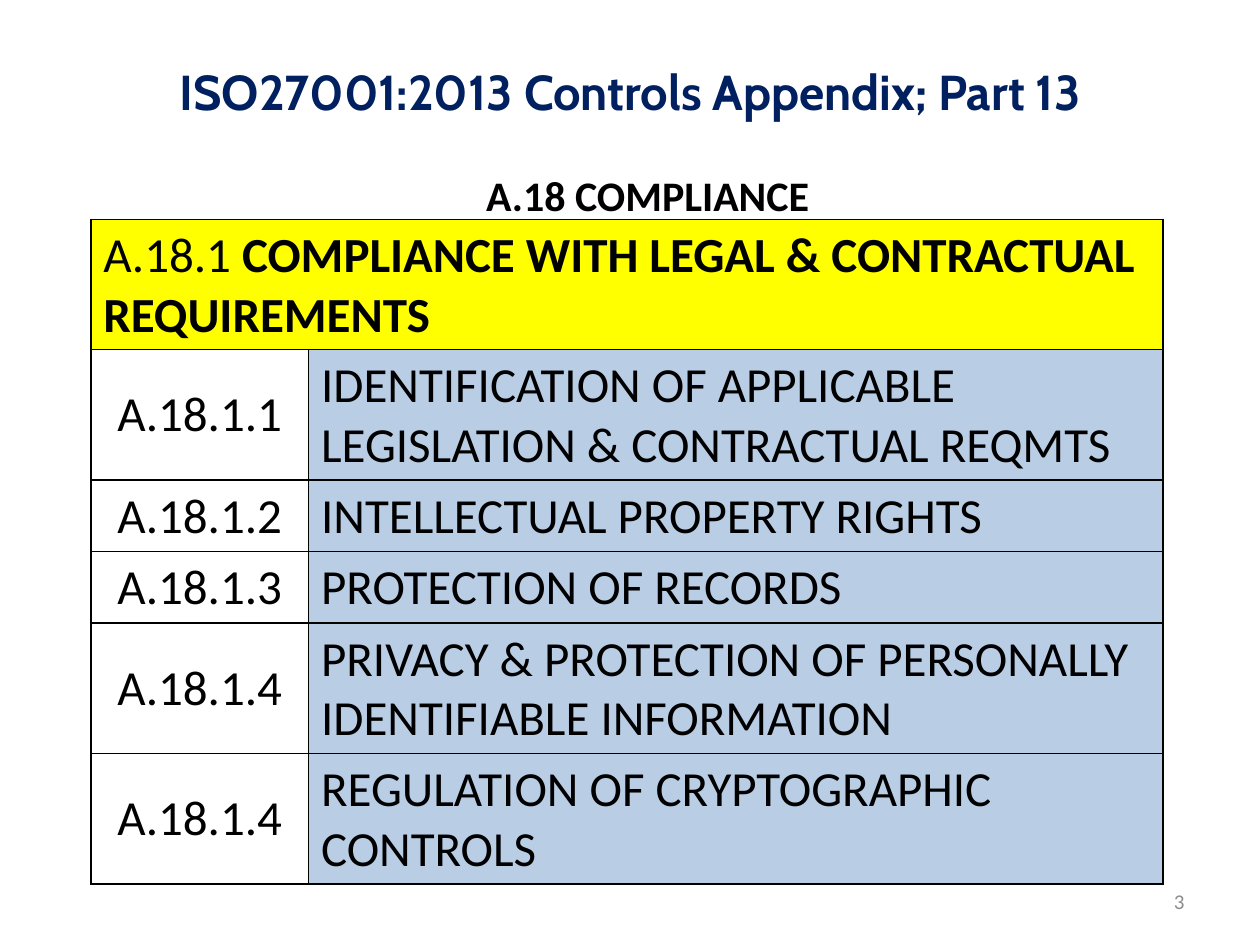
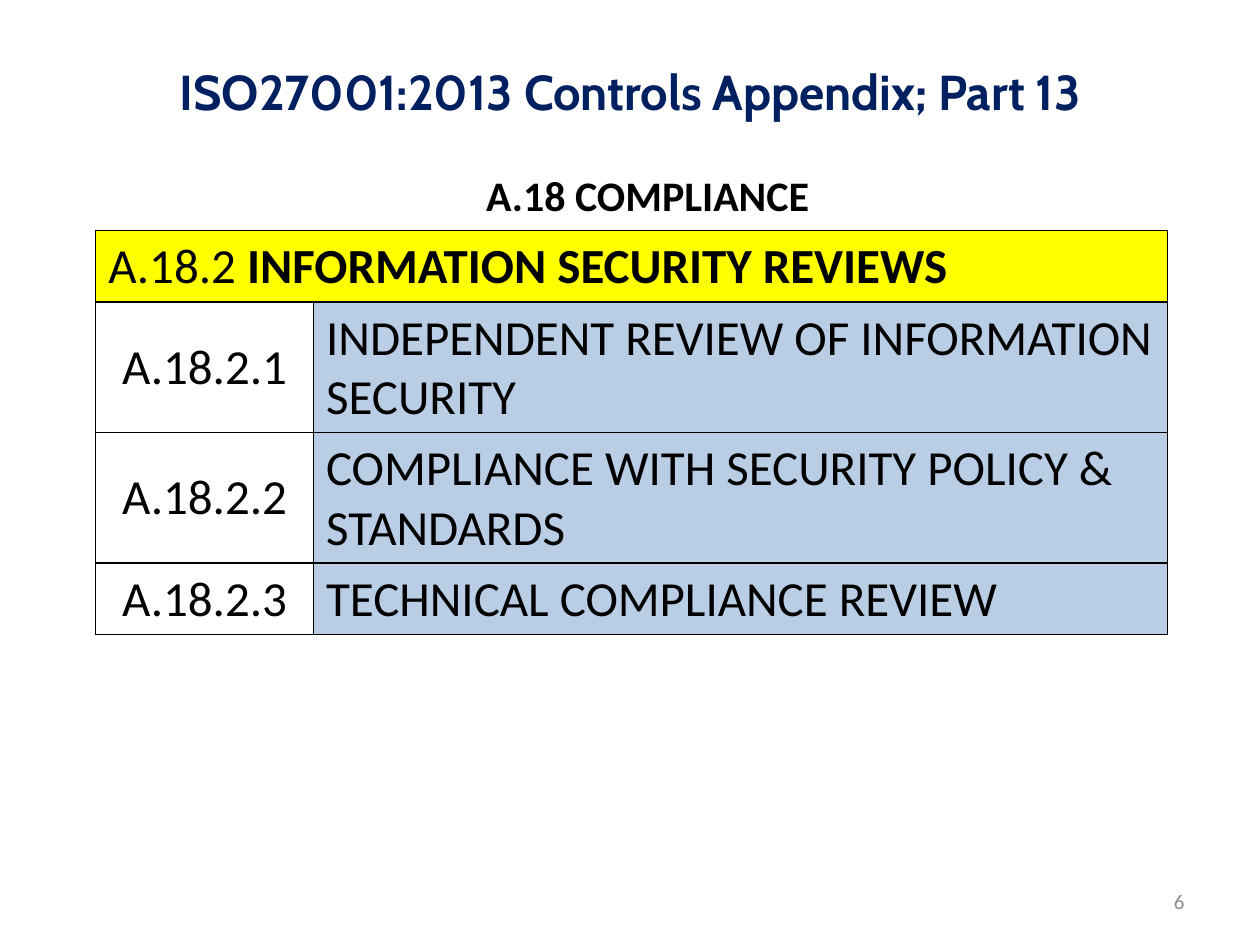
from pptx import Presentation
from pptx.dml.color import RGBColor
from pptx.enum.text import MSO_ANCHOR as Anchor, PP_ALIGN as Align
from pptx.oxml import parse_xml
from pptx.oxml.ns import nsdecls
from pptx.util import Cm, Pt

# Shared style
NAVY, BLACK, WHITE, GRAY = "002060", "000000", "FFFFFF", "8C8C8C"
YELLOW, PALE_BLUE = "FFFF00", "B9CDE5"
TITLE_FONT, BODY_FONT = "Cabin", "Calibri"

# Boxes in cm: left, top, width, height
TITLE_BOX = (1.27, 0.58, 22.86, 2.49)
CAPTION_BOX = (9.55, 3.3, 7.09, 1.27)
NUMBER_BOX = (18.21, 17.65, 5.92, 1.02)
COLUMN_WIDTHS = (4.39, 17.22)
ROW_HEIGHTS = {1: 1.44, 2: 2.63}  # by lines of text

# Each row: code, control, lines of text; the first row is the heading
LEGAL_CONTROLS = [
    ("A.18.1", "COMPLIANCE WITH LEGAL & CONTRACTUAL REQUIREMENTS", 2),
    ("A.18.1.1", "IDENTIFICATION OF APPLICABLE LEGISLATION & CONTRACTUAL REQMTS", 2),
    ("A.18.1.2", "INTELLECTUAL PROPERTY RIGHTS", 1),
    ("A.18.1.3", "PROTECTION OF RECORDS", 1),
    ("A.18.1.4", "PRIVACY & PROTECTION OF PERSONALLY IDENTIFIABLE INFORMATION", 2),
    ("A.18.1.4", "REGULATION OF CRYPTOGRAPHIC CONTROLS", 2),
]
REVIEW_CONTROLS = [
    ("A.18.2", "INFORMATION SECURITY REVIEWS", 1),
    ("A.18.2.1", "INDEPENDENT REVIEW OF INFORMATION SECURITY", 2),
    ("A.18.2.2", "COMPLIANCE WITH SECURITY POLICY & STANDARDS", 2),
    ("A.18.2.3", "TECHNICAL COMPLIANCE REVIEW", 1),
]


def color(value):
    return RGBColor.from_string(value)


def write(paragraph, text, size=28, font=BODY_FONT, fill=BLACK, bold=False,
          align=Align.LEFT):
    paragraph.alignment = align
    run = paragraph.add_run()
    run.text = text
    run.font.size, run.font.name, run.font.bold = Pt(size), font, bold
    run.font.color.rgb = color(fill)


def add_text(slide, box, text, anchor=Anchor.MIDDLE, wrap=True, **style):
    frame = slide.shapes.add_textbox(*map(Cm, box)).text_frame
    frame.word_wrap = wrap
    frame.vertical_anchor = anchor
    write(frame.paragraphs[0], text, **style)


def format_cell(cell, fill=None, anchor=Anchor.MIDDLE):
    cell.vertical_anchor = anchor
    # Borders come before the fill in the cell properties
    properties = cell._tc.get_or_add_tcPr()
    for side in ("lnL", "lnR", "lnT", "lnB"):
        properties.append(parse_xml(
            f'<a:{side} {nsdecls("a")} w="12700"><a:solidFill>'
            f'<a:srgbClr val="{BLACK}"/></a:solidFill></a:{side}>'))
    if fill:
        cell.fill.solid()
        cell.fill.fore_color.rgb = color(fill)
    else:
        cell.fill.background()


def add_controls(slide, left, top, rows):
    heights = [ROW_HEIGHTS[lines] for _, _, lines in rows]
    table = slide.shapes.add_table(
        len(rows), 2, Cm(left), Cm(top),
        Cm(sum(COLUMN_WIDTHS)), Cm(sum(heights))).table
    table.first_row = table.horz_banding = False
    for column, width in zip(table.columns, COLUMN_WIDTHS):
        column.width = Cm(width)
    for row, height in zip(table.rows, heights):
        row.height = Cm(height)

    # Heading across both columns
    heading = table.cell(0, 0)
    heading.merge(table.cell(0, 1))
    for column in range(2):
        format_cell(table.cell(0, column), YELLOW, Anchor.TOP)
    code, title, _ = rows[0]
    paragraph = heading.text_frame.paragraphs[0]
    write(paragraph, code + " ")
    write(paragraph, title, bold=True)

    # Controls
    for index, (code, control, _) in enumerate(rows[1:], start=1):
        code_cell, control_cell = table.cell(index, 0), table.cell(index, 1)
        format_cell(code_cell)
        format_cell(control_cell, PALE_BLUE)
        write(code_cell.text_frame.paragraphs[0], code, align=Align.CENTER)
        write(control_cell.text_frame.paragraphs[0], control)


def add_controls_slide(presentation, number, left, top, rows):
    slide = presentation.slides.add_slide(presentation.slide_layouts[6])
    slide.background.fill.solid()
    slide.background.fill.fore_color.rgb = color(WHITE)
    add_text(slide, NUMBER_BOX, number, size=12, fill=GRAY, align=Align.RIGHT)
    add_text(slide, TITLE_BOX, "ISO27001:2013 Controls Appendix; Part 13",
             font=TITLE_FONT, fill=NAVY, bold=True, align=Align.CENTER)
    add_text(slide, CAPTION_BOX, "A.18 COMPLIANCE", anchor=Anchor.TOP,
             wrap=False, size=24, bold=True)
    add_controls(slide, left, top, rows)


def main():
    presentation = Presentation()
    presentation.slide_width, presentation.slide_height = Cm(25.4), Cm(19.05)
    add_controls_slide(presentation, "3", 1.83, 4.42, LEGAL_CONTROLS)
    add_controls_slide(presentation, "6", 1.93, 4.65, REVIEW_CONTROLS)
    presentation.save("out.pptx")


if __name__ == "__main__":
    main()
